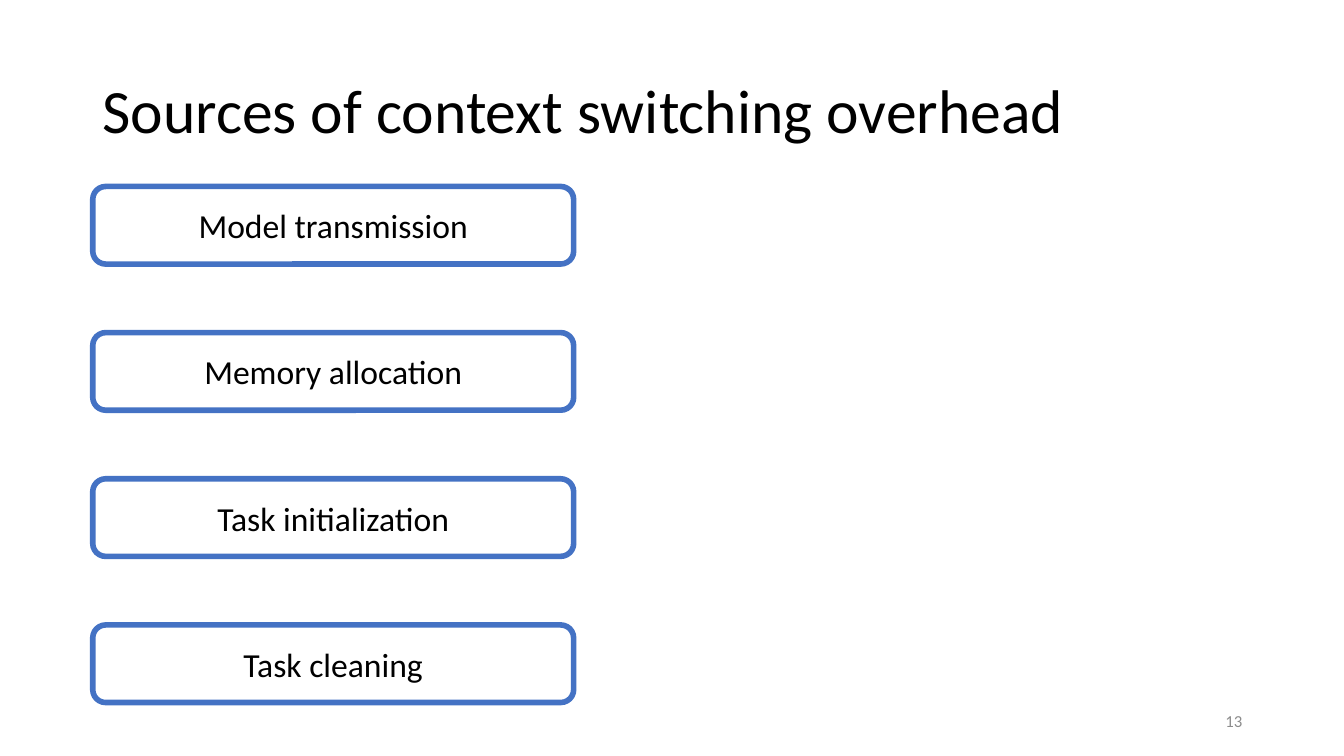
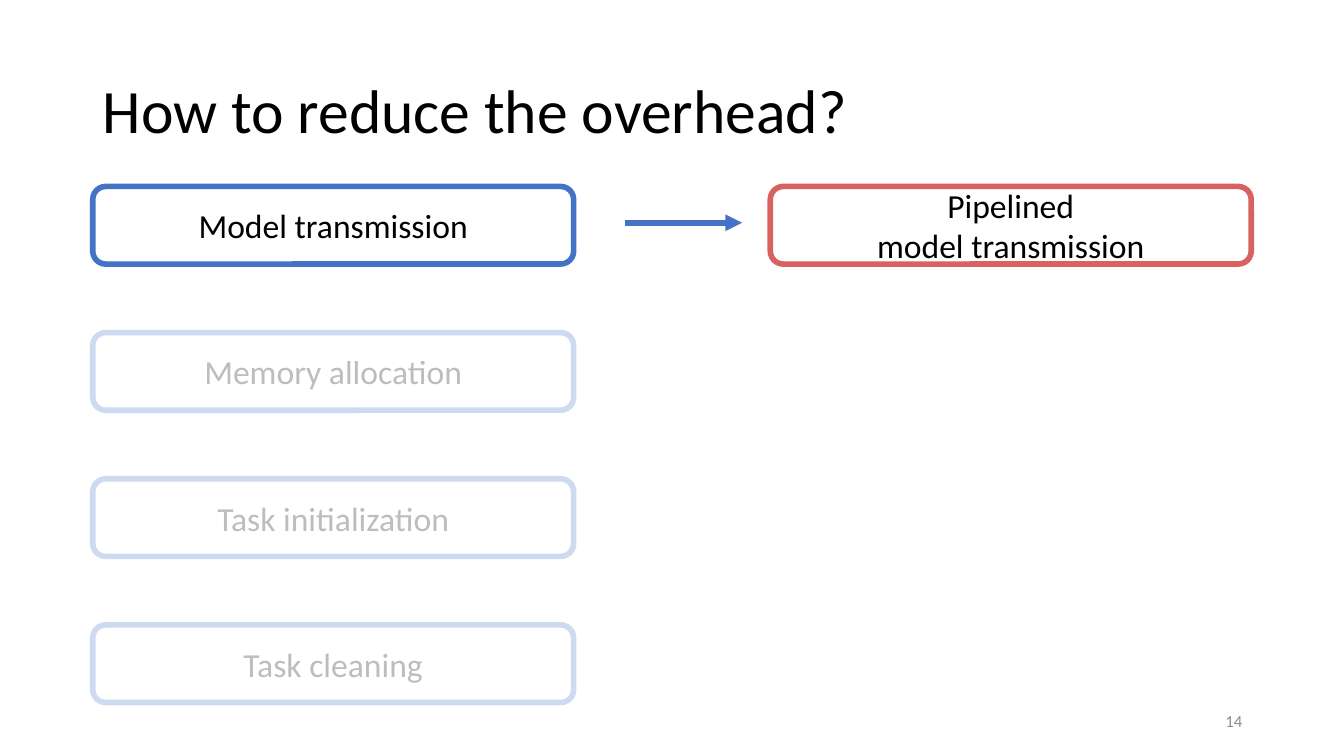
from lxml import etree
from pptx import Presentation
from pptx.dml.color import RGBColor
from pptx.enum.shapes import MSO_CONNECTOR, MSO_SHAPE
from pptx.enum.text import MSO_ANCHOR, PP_ALIGN
from pptx.oxml.ns import qn
from pptx.util import Inches, Pt

ROUNDED = MSO_SHAPE.ROUNDED_RECTANGLE
STRAIGHT = MSO_CONNECTOR.STRAIGHT
MIDDLE = MSO_ANCHOR.MIDDLE
LEFT, CENTER, RIGHT = PP_ALIGN.LEFT, PP_ALIGN.CENTER, PP_ALIGN.RIGHT

BLACK = RGBColor(0x00, 0x00, 0x00)
WHITE = RGBColor(0xFF, 0xFF, 0xFF)
GRAY = RGBColor(0x8C, 0x8C, 0x8C)
BLUE = RGBColor(0x44, 0x72, 0xC4)
RED = RGBColor(0xD9, 0x61, 0x5F)
FONT = "Calibri"
LINE_WIDTH = Pt(4)
FADED_ALPHA = 25

SOURCES = ["Model transmission", "Memory allocation", "Task initialization", "Task cleaning"]
SLIDES = [
    {"title": "Sources of context switching overhead", "number": 13, "solutions": {}},
    {
        "title": "How to reduce the overhead?",
        "number": 14,
        "solutions": {"Model transmission": ["Pipelined", "model transmission"]},
    },
]

SOURCE_LEFT, SOLUTION_LEFT = 0.92, 7.64
BOX_WIDTH, BOX_HEIGHT = 4.77, 0.77
FIRST_TOP, ROW_PITCH = 1.85, 1.45
ARROW_START, ARROW_END, ARROW_DROP = 6.2, 7.36, 0.36


def write_text(shape, lines, size, color, alignment):
    frame = shape.text_frame
    frame.word_wrap = True
    frame.vertical_anchor = MIDDLE
    frame.text = "\n".join(lines)
    for paragraph in frame.paragraphs:
        paragraph.alignment = alignment
        paragraph.font.name = FONT
        paragraph.font.size = Pt(size)
        paragraph.font.color.rgb = color


def add_label(slide, bounds, text, size, color, alignment):
    label = slide.shapes.add_textbox(*map(Inches, bounds))
    write_text(label, [text], size, color, alignment)
    return label


def add_box(slide, left, top, lines, border, faded=False):
    box = slide.shapes.add_shape(ROUNDED, *map(Inches, (left, top, BOX_WIDTH, BOX_HEIGHT)))
    box.shadow.inherit = False
    box.fill.solid()
    box.fill.fore_color.rgb = WHITE
    box.line.color.rgb = border
    box.line.width = LINE_WIDTH
    write_text(box, lines, 24, BLACK, CENTER)
    if faded:
        for color in box.element.iter(qn("a:srgbClr")):
            etree.SubElement(color, qn("a:alpha"), val=str(FADED_ALPHA * 1000))


def add_arrow(slide, y):
    arrow = slide.shapes.add_connector(
        STRAIGHT, *map(Inches, (ARROW_START, y, ARROW_END, y))
    )
    arrow.line.color.rgb = BLUE
    arrow.line.width = LINE_WIDTH
    etree.SubElement(arrow.line._get_or_add_ln(), qn("a:tailEnd"), type="triangle")
    etree.SubElement(arrow.element.spPr, qn("a:effectLst"))


def add_slide(presentation, content):
    slide = presentation.slides.add_slide(presentation.slide_layouts[6])
    title = add_label(slide, (0.92, 0.4, 11.5, 1.45), content["title"], 44, BLACK, LEFT)
    title.text_frame.paragraphs[0].line_spacing = 0.9
    add_label(slide, (9.42, 6.95, 3, 0.4), str(content["number"]), 12, GRAY, RIGHT)

    solutions = content["solutions"]
    for row, source in enumerate(SOURCES):
        top = FIRST_TOP + row * ROW_PITCH
        solved = source in solutions
        add_box(slide, SOURCE_LEFT, top, [source], BLUE, bool(solutions) and not solved)
        if solved:
            add_arrow(slide, top + ARROW_DROP)
            add_box(slide, SOLUTION_LEFT, top, solutions[source], RED)


def main():
    presentation = Presentation()
    presentation.slide_width = Inches(13.33)
    presentation.slide_height = Inches(7.5)
    for content in SLIDES:
        add_slide(presentation, content)
    presentation.save("out.pptx")


if __name__ == "__main__":
    main()
